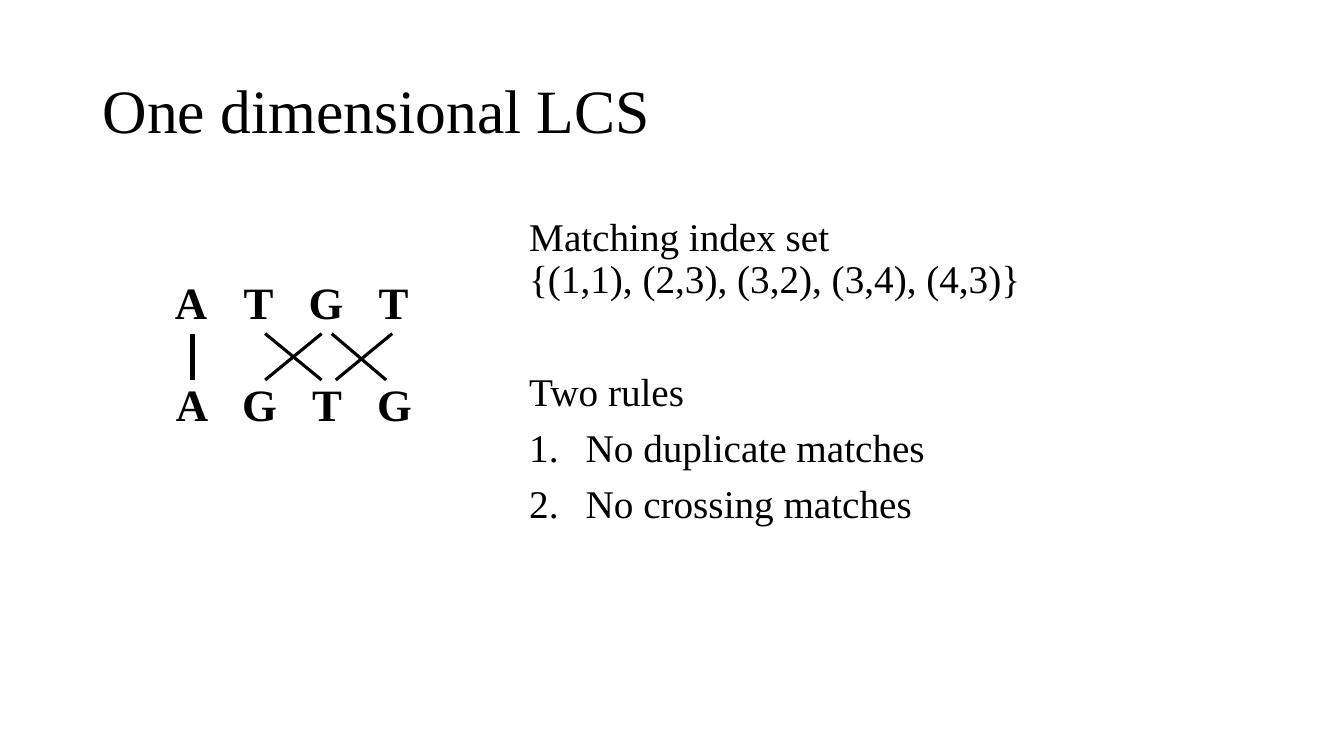
from lxml import etree
from pptx import Presentation
from pptx.dml.color import RGBColor
from pptx.enum.shapes import MSO_CONNECTOR
from pptx.enum.text import MSO_ANCHOR, PP_ALIGN
from pptx.oxml.ns import qn
from pptx.util import Inches, Pt

STRAIGHT = MSO_CONNECTOR.STRAIGHT
MIDDLE, TOP = MSO_ANCHOR.MIDDLE, MSO_ANCHOR.TOP
CENTER = PP_ALIGN.CENTER
NO_STYLE = "{2D5ABB26-0587-4C30-8999-92F81FD0307C}"
COLORS = {"ink": "000000"}
FONT = "Times New Roman"


class SlideBuilder:
    def __init__(self, prs):
        self.s = prs.slides.add_slide(prs.slide_layouts[6])
        self.ink = RGBColor.from_string(COLORS["ink"])

    def font(self, font, size, bold=False):
        for name, value in {"name": FONT, "size": Pt(size), "bold": bold}.items():
            setattr(font, name, value)
        font.color.rgb = self.ink

    def number(self, p):
        pPr = p._p.get_or_add_pPr()
        pPr.set("marL", str(Inches(0.56)))
        pPr.set("indent", str(Inches(-0.56)))
        etree.SubElement(pPr, qn("a:buFont")).set("typeface", "+mj-lt")
        etree.SubElement(pPr, qn("a:buAutoNum")).set("type", "arabicPeriod")

    def text(self, box, paragraphs, size, anchor=TOP):
        tf = self.s.shapes.add_textbox(*map(Inches, box)).text_frame
        tf.word_wrap = True
        tf.vertical_anchor = anchor
        for i, (text, before, numbered) in enumerate(paragraphs):
            p = tf.paragraphs[0] if i == 0 else tf.add_paragraph()
            p.text = text
            p.line_spacing = 0.9
            p.space_before = Pt(before)
            if numbered:
                self.number(p)
            for r in p.runs:
                self.font(r.font, size)

    def sequence(self, left, top, letters, cell_width=0.67, height=0.63):
        frame = self.s.shapes.add_table(
            1, len(letters), Inches(left), Inches(top),
            Inches(cell_width * len(letters)), Inches(height))
        table = frame.table
        table.first_row = table.horz_banding = False
        table._tbl.tblPr.find(qn("a:tableStyleId")).text = NO_STYLE
        for cell, letter in zip(table.rows[0].cells, letters):
            cell.fill.background()
            cell.vertical_anchor = MIDDLE
            p = cell.text_frame.paragraphs[0]
            p.alignment = CENTER
            r = p.add_run()
            r.text = letter
            self.font(r.font, 32, True)

    def match(self, x1, x2, width, y1=3.31, y2=3.77):
        line = self.s.shapes.add_connector(
            STRAIGHT, *map(Inches, (x1, y1, x2, y2)))
        line.line.color.rgb = self.ink
        line.line.width = Pt(width)
        etree.SubElement(line._element.spPr, qn("a:effectLst"))


def main():
    prs = Presentation()
    prs.slide_width, prs.slide_height = Inches(13.33), Inches(7.5)
    slide = SlideBuilder(prs)
    slide.text((0.92, 0.4, 11.5, 1.45),
               [("One dimensional LCS", 0, False)], 44, MIDDLE)
    slide.text((5.15, 2.11, 7.69, 4.76), [
        ("Matching index set\v{(1,1), (2,3), (3,2), (3,4), (4,3)}", 0, False),
        ("Two rules", 50, False),
        ("No duplicate matches", 10, True),
        ("No crossing matches", 10, True),
    ], 28)
    slide.sequence(1.56, 2.7, "ATGT")
    slide.sequence(1.57, 3.71, "AGTG")
    for x1, x2, width in [(1.91, 1.91, 3), (2.63, 3.19, 2.25), (3.19, 2.63, 2.25),
                          (3.29, 3.83, 2.25), (3.89, 3.33, 2.25)]:
        slide.match(x1, x2, width)
    prs.save("out.pptx")


if __name__ == "__main__":
    main()
